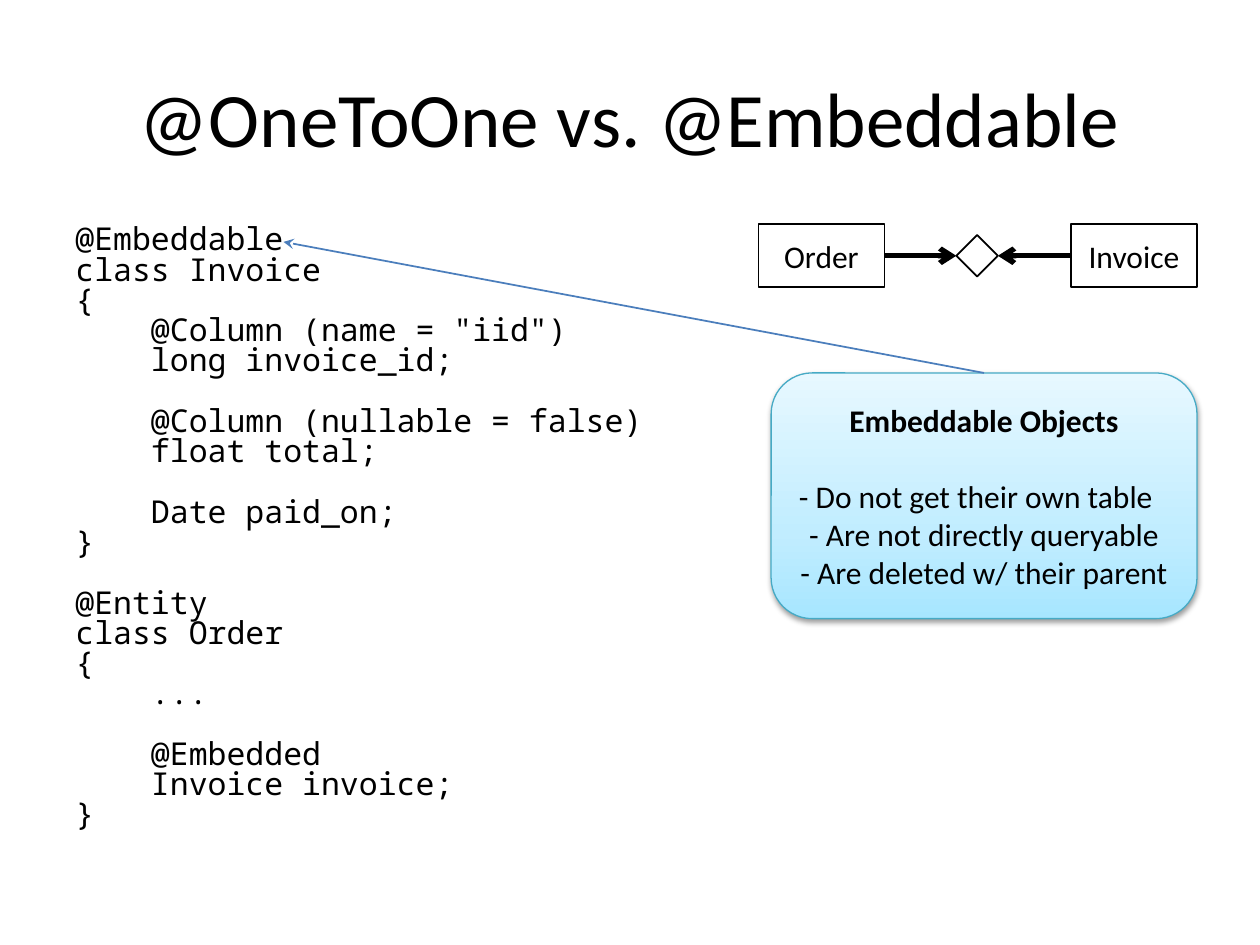
from copy import deepcopy

from pptx import Presentation
from pptx.dml.color import RGBColor
from pptx.enum.shapes import MSO_CONNECTOR, MSO_SHAPE
from pptx.enum.text import MSO_ANCHOR, PP_ALIGN
from pptx.oxml import parse_xml
from pptx.oxml.ns import nsdecls, qn
from pptx.oxml.xmlchemy import OxmlElement
from pptx.util import Inches, Pt

BLACK = RGBColor(0x00, 0x00, 0x00)
WHITE = RGBColor(0xFF, 0xFF, 0xFF)
TEAL = RGBColor(0x46, 0xAA, 0xC5)
BLUE = RGBColor(0x4B, 0x7E, 0xBC)
CALLOUT_STOPS = [
    (0, RGBColor(0xA7, 0xE6, 0xFF)),
    (0.35, RGBColor(0xC1, 0xED, 0xFF)),
    (1, RGBColor(0xE7, 0xF8, 0xFF)),
]
SANS, MONO = "Calibri", "Noto Sans Mono"
COL, ROW = Inches(0.5), Inches(0.25)
CODE_INDENT = Inches(0.6)
CODE_GAP, CALLOUT_GAP = Pt(17.3), Pt(22)
CODE_BLOCKS = [
    [(0, "@Embeddable"), (0, "class Invoice"), (0, "{"),
     (1, '@Column (name = "iid")'), (1, "long invoice_id;")],
    [(1, "@Column (nullable = false)"), (1, "float total;")],
    [(1, "Date paid_on;"), (0, "}")],
    [(0, "@Entity"), (0, "class Order"), (0, "{"), (1, "...")],
    [(1, "@Embedded"), (1, "Invoice invoice;"), (0, "}")],
]
CALLOUT_POINTS = [
    ("- Do not get their own table", Inches(0.13)),
    ("- Are not directly queryable", 0),
    ("- Are deleted w/ their parent", 0),
]


def grid(col, row, cols, rows):
    """Turn grid cells into left, top, width and height."""
    return [round(v) for v in (col * COL, row * ROW, cols * COL, rows * ROW)]


def add_paragraph(tf, text, size=18, font=SANS, bold=False, align=PP_ALIGN.CENTER):
    """Write one paragraph, reusing the first one while it is empty."""
    p = tf.paragraphs[0] if not tf.paragraphs[0].runs else tf.add_paragraph()
    p.alignment = align
    r = p.add_run()
    r.text = text
    r.font.size, r.font.name, r.font.bold = Pt(size), font, bold
    r.font.color.rgb = BLACK
    return p


def add_text_box(slide, cells):
    """Add a wrapping text box and return its text frame."""
    tf = slide.shapes.add_textbox(*grid(*cells)).text_frame
    tf.word_wrap = True
    return tf


def add_code(slide, cells):
    """Add the code listing with indents and gaps between its blocks."""
    tf = add_text_box(slide, cells)
    for number, block in enumerate(CODE_BLOCKS):
        for i, (level, text) in enumerate(block):
            p = add_paragraph(tf, text, font=MONO, align=PP_ALIGN.LEFT)
            p.line_spacing = 0.8
            p.space_before = CODE_GAP if number and i == 0 else 0
            p._p.get_or_add_pPr().set("marL", str(level * CODE_INDENT))


def add_node(slide, kind, cells, text=None):
    """Add a white outlined shape of the entity diagram."""
    s = slide.shapes.add_shape(kind, *grid(*cells))
    s.shadow.inherit = False
    s.fill.solid()
    s.fill.fore_color.rgb = WHITE
    s.line.color.rgb, s.line.width = BLACK, Pt(1)
    if text:
        s.text_frame.vertical_anchor = MSO_ANCHOR.MIDDLE
        add_paragraph(s.text_frame, text)
    return s


def add_arrow(slide, start, side, color, width, head, end=None, end_side=None, to=None):
    """Draw an arrow from a shape's side to another side or a grid point."""
    x, y = grid(*to, 0, 0)[:2] if to else (0, 0)
    c = slide.shapes.add_connector(MSO_CONNECTOR.STRAIGHT, 0, 0, x, y)
    c.begin_connect(start, side)
    if end is not None:
        c.end_connect(end, end_side)
    c.line.color.rgb, c.line.width = color, Pt(width)
    tail = OxmlElement("a:tailEnd")
    tail.set("type", head)
    c.line._get_or_add_ln().append(tail)
    c._element.spPr.append(OxmlElement("a:effectLst"))


def add_callout(slide, cells):
    """Add the rounded gradient box with its heading and points."""
    s = slide.shapes.add_shape(MSO_SHAPE.ROUNDED_RECTANGLE, *grid(*cells))
    s.line.color.rgb, s.line.width = TEAL, Pt(0.75)
    s.fill.gradient()
    stops = s._element.spPr.find(qn("a:gradFill")).find(qn("a:gsLst"))
    stops.append(deepcopy(stops[0]))
    for stop, (position, color) in zip(s.fill.gradient_stops, CALLOUT_STOPS):
        stop.position, stop.color.rgb = position, color
    s.fill.gradient_angle = 90
    s._element.spPr.append(parse_xml(
        f'<a:effectLst {nsdecls("a")}><a:outerShdw blurRad="{Pt(3.1)}" '
        f'dist="{Pt(1.6)}" dir="5400000" rotWithShape="0"><a:srgbClr val="{BLACK}">'
        '<a:alpha val="38000"/></a:srgbClr></a:outerShdw></a:effectLst>'))
    tf = s.text_frame
    tf.vertical_anchor = MSO_ANCHOR.MIDDLE
    add_paragraph(tf, "Embeddable Objects", bold=True).space_after = CALLOUT_GAP
    for text, margin in CALLOUT_POINTS:
        p = add_paragraph(tf, text)
        p._p.get_or_add_pPr().set("marR", str(margin))
    return s


def main():
    """Build the slide and save it."""
    prs = Presentation()
    prs.slide_width, prs.slide_height = 20 * COL, 30 * ROW
    slide = prs.slides.add_slide(prs.slide_layouts[6])

    title = add_text_box(slide, (1, 1.2, 18, 5))
    title.vertical_anchor = MSO_ANCHOR.MIDDLE
    add_paragraph(title, "@OneToOne vs. @Embeddable", size=44)
    add_code(slide, (1, 7, 18, 19.8))

    order = add_node(slide, MSO_SHAPE.RECTANGLE, (12.04, 7.12, 2, 2), "Order")
    invoice = add_node(slide, MSO_SHAPE.RECTANGLE, (17, 7.12, 2, 2), "Invoice")
    relation = add_node(slide, MSO_SHAPE.DIAMOND, (15.18, 7.46, 0.66, 1.32))
    add_arrow(slide, order, 3, BLACK, 3, "arrow", relation, 1)
    add_arrow(slide, invoice, 1, BLACK, 3, "arrow", relation, 3)

    callout = add_callout(slide, (12.24, 11.84, 6.76, 7.8))
    add_arrow(slide, callout, 0, BLUE, 1, "stealth", to=(4.5, 7.68))
    prs.save("out.pptx")


if __name__ == "__main__":
    main()
